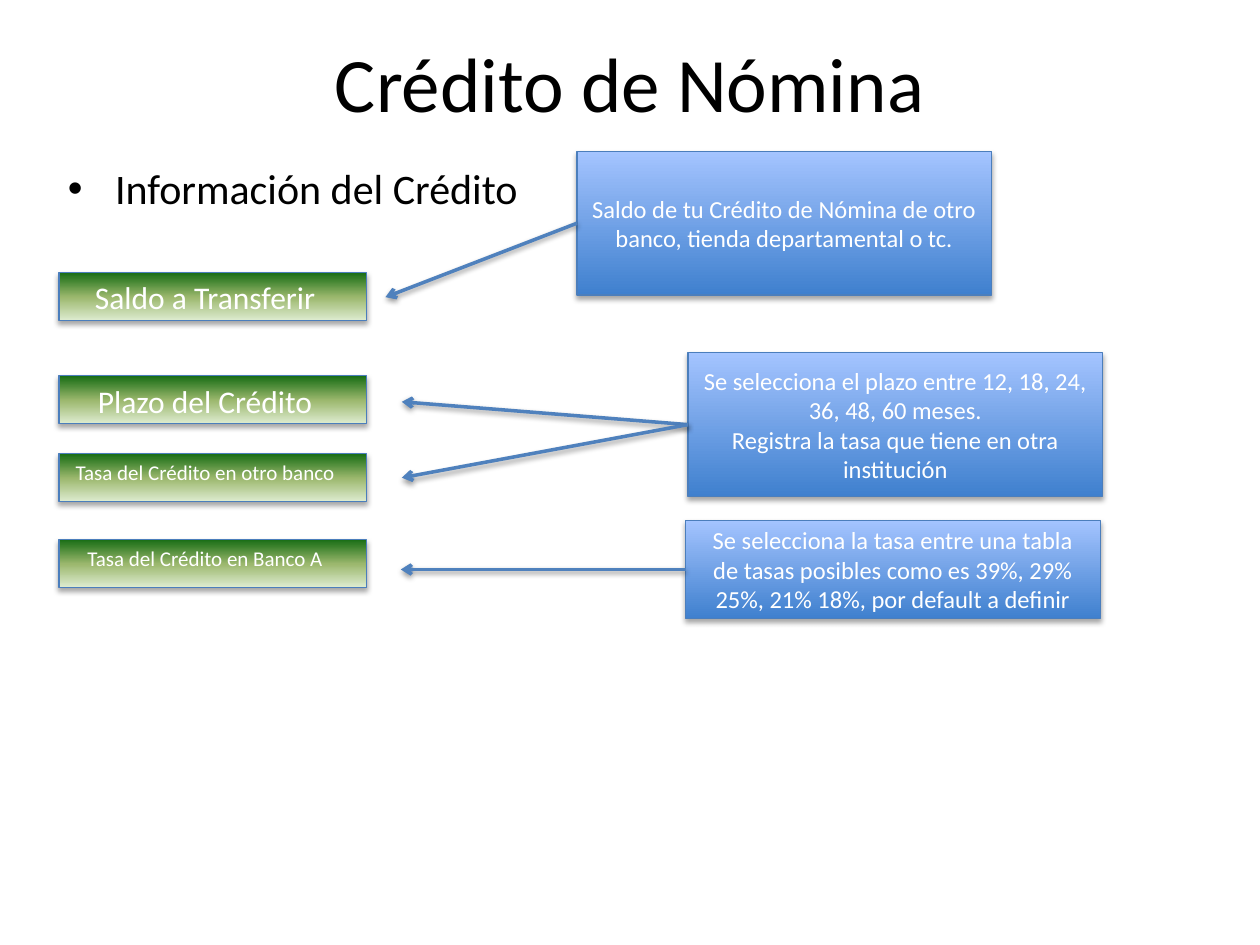
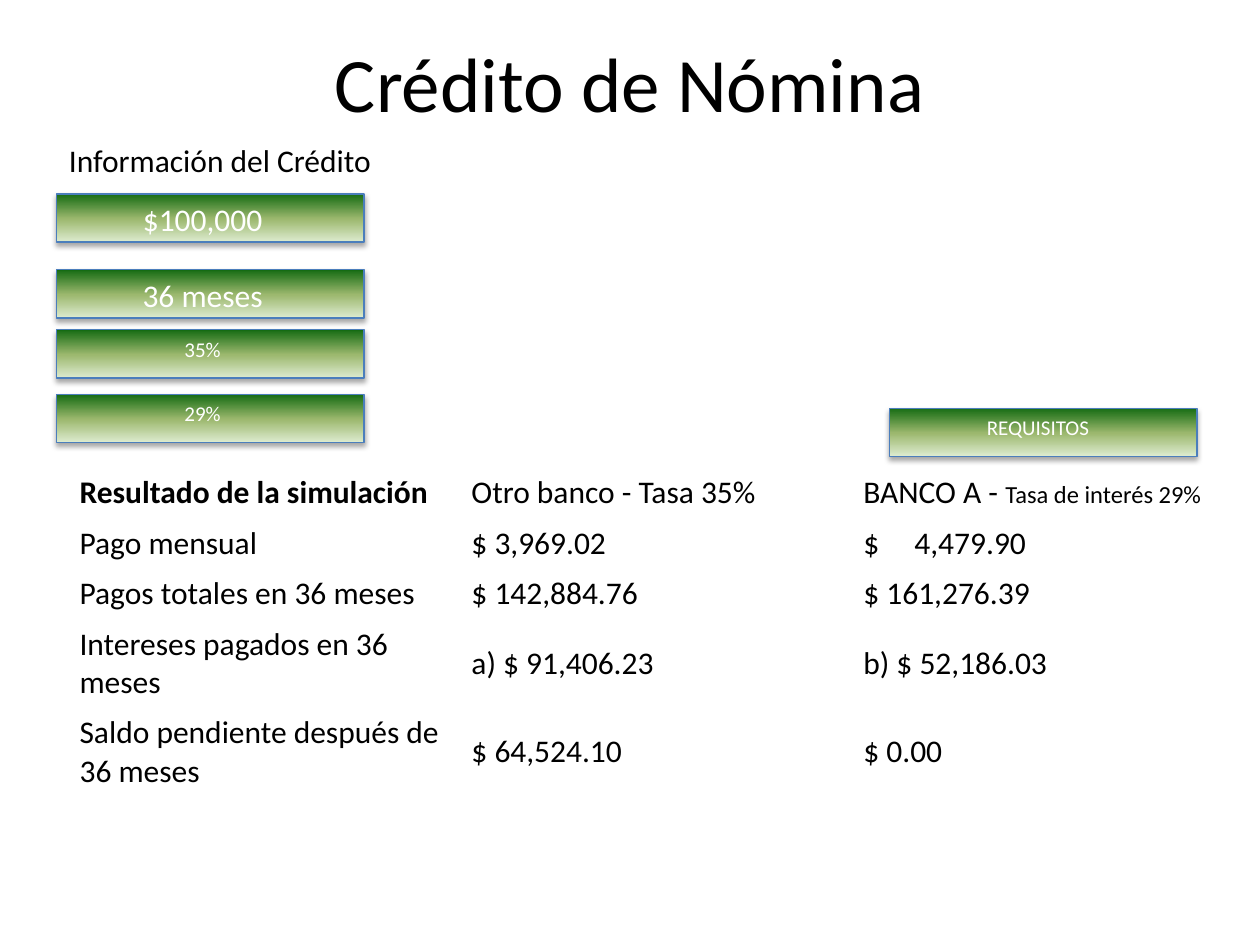
from lxml.etree import SubElement
from pptx import Presentation
from pptx.dml.color import RGBColor
from pptx.enum.shapes import MSO_CONNECTOR, MSO_SHAPE
from pptx.enum.text import MSO_ANCHOR, MSO_AUTO_SIZE, PP_ALIGN
from pptx.oxml.ns import qn
from pptx.util import Cm, Pt

FONT = "Calibri"
COLORS = {
    "text": "000000",
    "light": "FFFFFF",
    "outline": "4B7EBC",
    "arrow": "4F81BD",
    "shadow": "000000",
}
# Gradient stops run from the bottom edge to the top edge
GREEN = [(0, "DDEBCF"), (48, "9CB86E"), (90, "2F7A24"), (100, "156B13")]
BLUE = [(0, "3F80CE"), (100, "A4C4FF")]

FIELD_W, FIELD_H = 6.2, 0.97
LABEL_W = 5.89
NOTE_W = 8.36

SIMULATION = [
    ["Resultado de la simulación", "Otro banco - Tasa 35%", "BANCO A - "],
    ["Pago mensual", "$ 3,969.02", "$\t4,479.90"],
    ["Pagos totales en 36 meses", "$ 142,884.76", "$ 161,276.39"],
    ["Intereses pagados en 36 meses", "a) $ 91,406.23", "b) $ 52,186.03"],
    ["Saldo pendiente después de 36 meses", "$ 64,524.10", "$ 0.00"],
]
ROW_HEIGHTS = [1.02, 1.02, 1.02, 1.78, 1.78]
COLUMN_W = 7.9


# --- Formatting helpers ---
def rgb(name):
    return RGBColor.from_string(COLORS[name])


def format_text(frame, size, color="text", align=PP_ALIGN.LEFT, bold=False):
    for paragraph in frame.paragraphs:
        paragraph.alignment = align
        for run in paragraph.runs:
            run.font.name = FONT
            run.font.size = Pt(size)
            run.font.bold = bold
            run.font.color.rgb = rgb(color)


def add_shadow(effects, opacity, distance):
    shadow = SubElement(effects, qn("a:outerShdw"), blurRad=str(Pt(3.1)),
                        dist=str(Pt(distance)), dir="5400000", rotWithShape="0")
    color = SubElement(shadow, qn("a:srgbClr"), val=COLORS["shadow"])
    SubElement(color, qn("a:alpha"), val=str(opacity * 1000))


def fill_gradient(shape, stops):
    shape.fill.gradient()
    shape.fill.gradient_angle = 90
    stop_list = shape.element.spPr.find(".//" + qn("a:gsLst"))
    for stop in list(stop_list):
        stop_list.remove(stop)
    for position, color in stops:
        stop = SubElement(stop_list, qn("a:gs"), pos=str(position * 1000))
        SubElement(stop, qn("a:srgbClr"), val=color)


# --- Elements ---
def add_text(slide, text, left, top, width, height, size, **style):
    box = slide.shapes.add_textbox(Cm(left), Cm(top), Cm(width), Cm(height))
    frame = box.text_frame
    frame.word_wrap = True
    frame.text = text
    format_text(frame, size, **style)
    return frame


def add_title(slide):
    title = add_text(slide, "Crédito de Nómina", 1.27, 0.05, 22.86, 3.18, 44,
                     align=PP_ALIGN.CENTER)
    title.vertical_anchor = MSO_ANCHOR.MIDDLE


def add_bullet_heading(slide, text):
    heading = add_text(slide, text, 1.12, 3.15, 22.86, 12.57, 24).paragraphs[0]
    heading.space_before = Pt(4.8)
    properties = heading._p.get_or_add_pPr()
    properties.set("marL", str(Cm(0.95)))
    properties.set("indent", str(Cm(-0.95)))
    SubElement(properties, qn("a:buFont"), typeface="Arial")
    SubElement(properties, qn("a:buChar"), char="•")


def add_panel(slide, left, top, width, height, stops):
    panel = slide.shapes.add_shape(MSO_SHAPE.RECTANGLE, Cm(left), Cm(top),
                                   Cm(width), Cm(height))
    fill_gradient(panel, stops)
    panel.line.color.rgb = rgb("outline")
    panel.line.width = Pt(0.75)
    panel.shadow.inherit = False
    add_shadow(panel.element.spPr.find(qn("a:effectLst")), 35, 1.8)
    return panel


def add_field(slide, text, left, top, size, label_shift=0):
    """Green field with its label along the top edge."""
    add_panel(slide, left, top, FIELD_W, FIELD_H, GREEN)
    label_height = 1.02 if size == 18 else 0.76
    label = add_text(slide, text, left + label_shift, top, LABEL_W, label_height,
                     size, color="light", align=PP_ALIGN.CENTER)
    label.auto_size = MSO_AUTO_SIZE.SHAPE_TO_FIT_TEXT


def add_arrow(slide, start, end):
    arrow = slide.shapes.add_connector(MSO_CONNECTOR.STRAIGHT,
                                       *(Cm(value) for value in start + end))
    arrow.line.color.rgb = rgb("arrow")
    arrow.line.width = Pt(2)
    properties = arrow._element.spPr
    SubElement(properties.find(qn("a:ln")), qn("a:tailEnd"), type="arrow")
    add_shadow(SubElement(properties, qn("a:effectLst")), 38, 1.6)


def add_note(slide, text, left, top, height, targets):
    """Blue explanation with arrows from its left edge to the fields."""
    note = add_panel(slide, left, top, NOTE_W, height, BLUE)
    note.text_frame.text = text
    note.text_frame.vertical_anchor = MSO_ANCHOR.MIDDLE
    format_text(note.text_frame, 14, color="light", align=PP_ALIGN.CENTER)
    for target in targets:
        add_arrow(slide, (left, top + height / 2), target)


def add_simulation_table(slide):
    table = slide.shapes.add_table(
        len(SIMULATION), len(SIMULATION[0]), Cm(1.35), Cm(9.42),
        Cm(COLUMN_W * 3), Cm(sum(ROW_HEIGHTS))).table
    table.first_row = False
    table.horz_banding = False
    for column in table.columns:
        column.width = Cm(COLUMN_W)
    for r, (texts, height) in enumerate(zip(SIMULATION, ROW_HEIGHTS)):
        table.rows[r].height = Cm(height)
        for c, text in enumerate(texts):
            cell = table.cell(r, c)
            cell.fill.background()
            cell.vertical_anchor = MSO_ANCHOR.MIDDLE
            cell.text_frame.text = text
            format_text(cell.text_frame, 18, bold=(r == c == 0))

    # Smaller rate beside the bank's name
    bank = table.cell(0, 2).text_frame
    rate = bank.paragraphs[0].add_run()
    rate.text = "Tasa de interés 29%"
    format_text(bank, 18)
    rate.font.size = Pt(14)

    # Tab stop between the currency sign and the monthly payment
    payment = table.cell(1, 2).text_frame.paragraphs[0]._p.get_or_add_pPr()
    tabs = SubElement(payment, qn("a:tabLst"))
    SubElement(tabs, qn("a:tab"), pos=str(Cm(1.03)), algn="l")


# --- Slides ---
def build_information(slide):
    add_title(slide)
    add_bullet_heading(slide, "Información del Crédito")
    add_note(slide, "Saldo de tu Crédito de Nómina de otro banco, "
             "tienda departamental o tc.", 11.63, 3.05, 2.9, [(7.77, 5.99)])
    add_note(slide, "Se selecciona el plazo entre 12, 18, 24, 36, 48, 60 meses.\n"
             "Registra la tasa que tiene en otra institución",
             13.87, 7.11, 2.9, [(8.1, 8.1), (8.1, 9.63)])
    for text, top, size in [("Saldo a Transferir", 5.49, 18),
                            ("Plazo del Crédito", 7.57, 18),
                            ("Tasa del Crédito en otro banco", 9.14, 12),
                            ("Tasa del Crédito en Banco A", 10.87, 12)]:
        add_field(slide, text, 1.19, top, size)
    add_note(slide, "Se selecciona la tasa entre una tabla de tasas posibles como "
             "es 39%, 29% 25%, 21% 18%, por default a definir",
             13.82, 10.49, 1.98, [(8.08, 11.48)])


def build_simulation(slide):
    add_title(slide)
    for text, top, size in [("$100,000", 3.91, 18), ("36 meses", 5.44, 18),
                            ("35%", 6.65, 12), ("29%", 7.95, 12)]:
        add_field(slide, text, 1.14, top, size)
    heading = add_text(slide, "Información del Crédito", 1.14, 2.72, 6.68, 1.02, 18)
    heading.word_wrap = False
    heading.auto_size = MSO_AUTO_SIZE.SHAPE_TO_FIT_TEXT
    add_simulation_table(slide)
    add_field(slide, "REQUISITOS", 17.93, 8.23, 12, label_shift=0.05)


def main():
    presentation = Presentation()
    presentation.slide_width = Cm(25.4)
    presentation.slide_height = Cm(19.05)
    blank = presentation.slide_layouts[6]
    for build in (build_information, build_simulation):
        build(presentation.slides.add_slide(blank))
    presentation.save("out.pptx")


if __name__ == "__main__":
    main()
